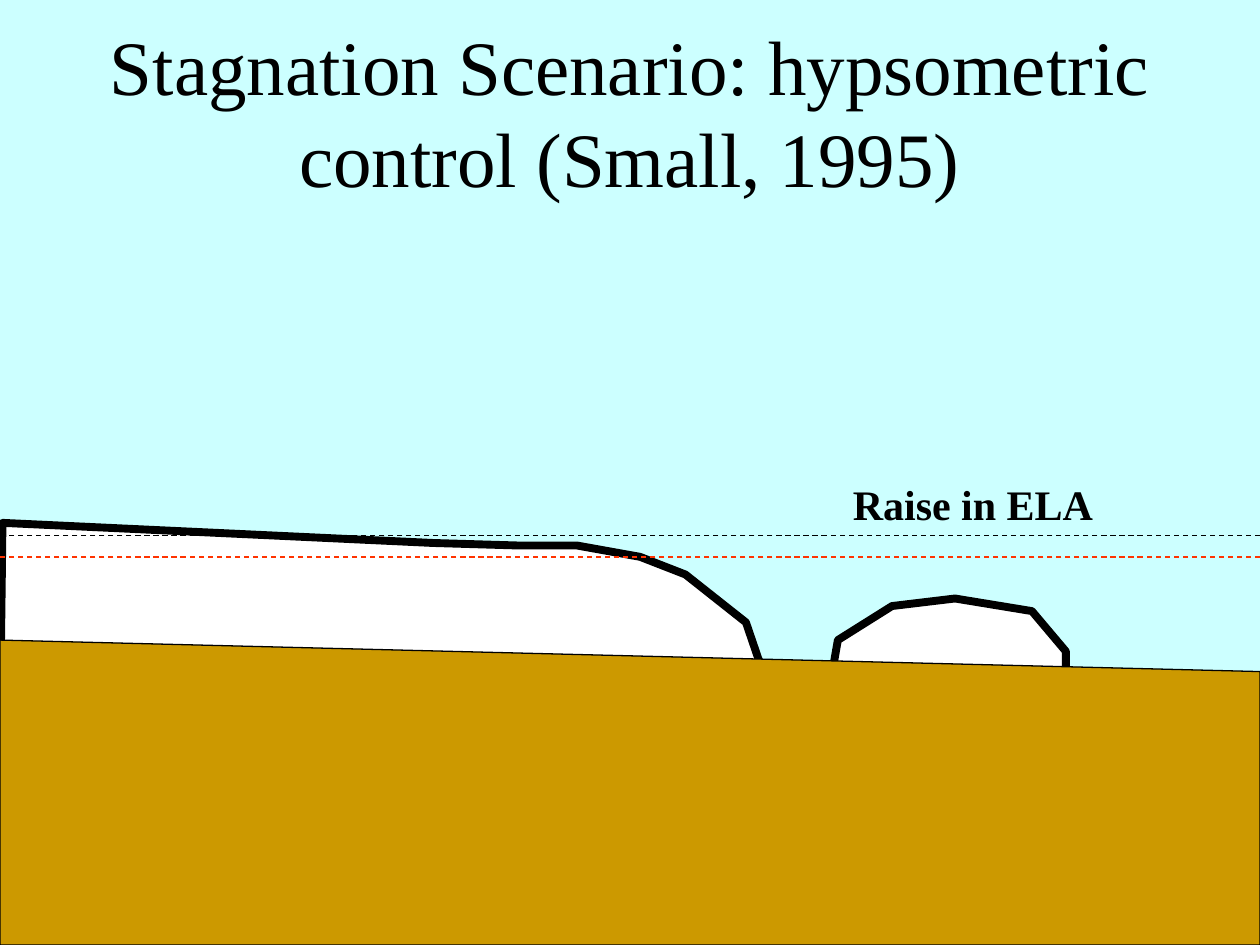
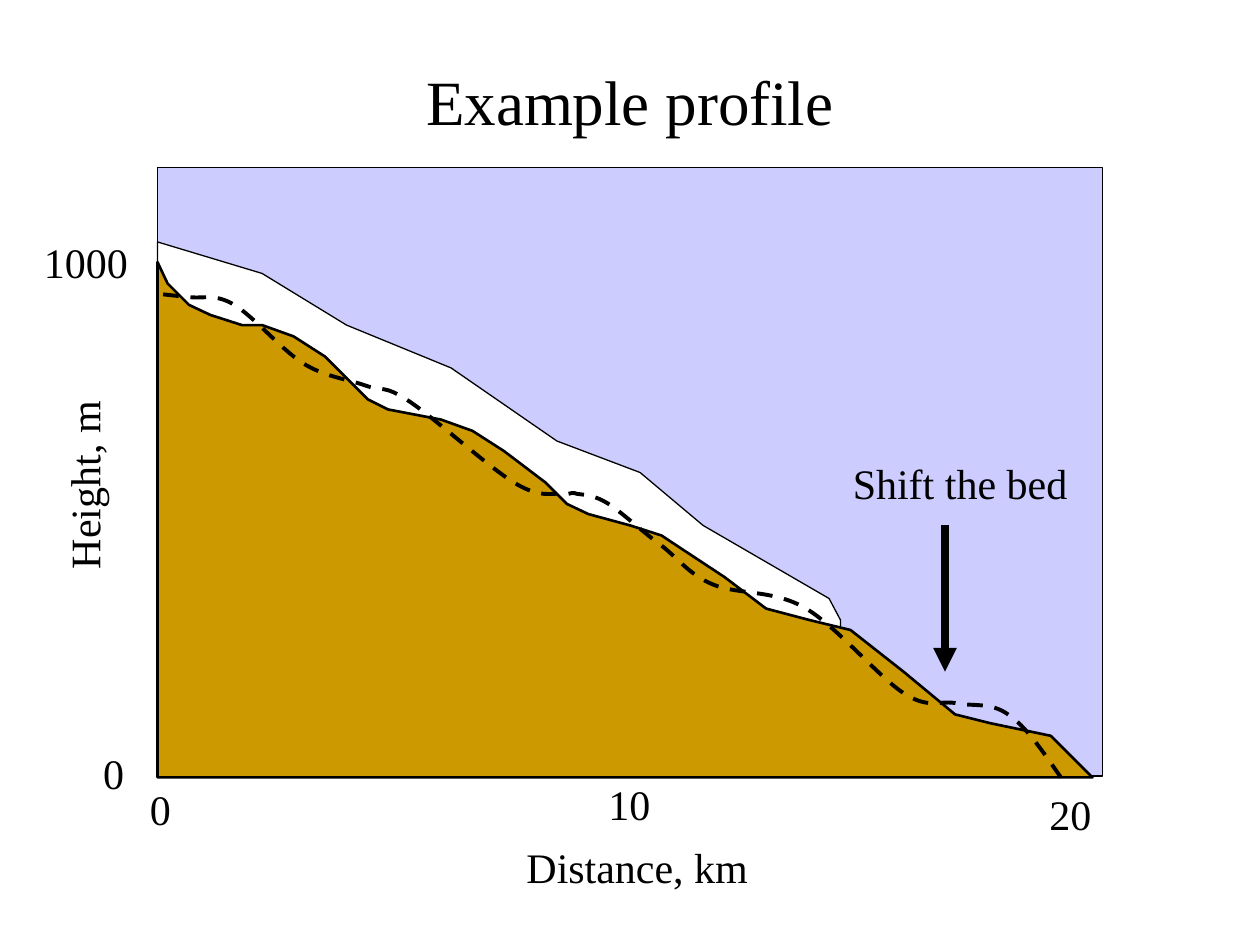
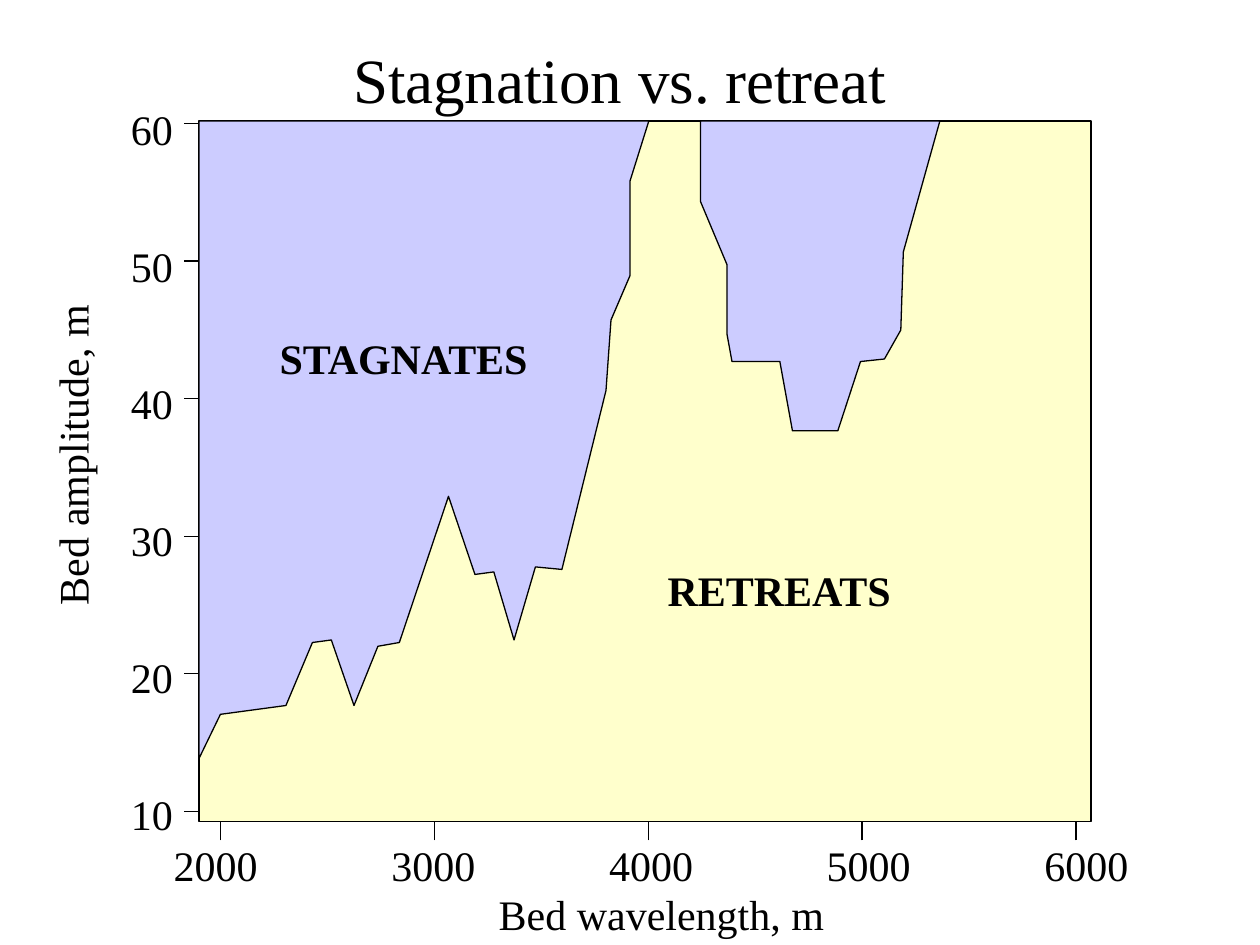
from lxml import etree
from pptx import Presentation
from pptx.dml.color import RGBColor
from pptx.enum.dml import MSO_LINE
from pptx.enum.shapes import MSO_CONNECTOR, MSO_SHAPE
from pptx.enum.text import MSO_ANCHOR, MSO_AUTO_SIZE, PP_ALIGN
from pptx.oxml.ns import qn
from pptx.util import Inches, Pt

BLACK = RGBColor(0x00, 0x00, 0x00)
WHITE = RGBColor(0xFF, 0xFF, 0xFF)
SKY = RGBColor(0xCC, 0xFF, 0xFF)
LILAC = RGBColor(0xCC, 0xCC, 0xFF)
CREAM = RGBColor(0xFF, 0xFF, 0xCC)
BEDROCK = RGBColor(0xCC, 0x99, 0x00)
RED = RGBColor(0xFF, 0x33, 0x00)

FONT = "Times New Roman"
DASH = MSO_LINE.DASH
STRAIGHT = MSO_CONNECTOR.STRAIGHT
RECTANGLE = MSO_SHAPE.RECTANGLE
MIDDLE = MSO_ANCHOR.MIDDLE
CENTER = PP_ALIGN.CENTER
GROW = MSO_AUTO_SIZE.SHAPE_TO_FIT_TEXT
LABEL_HEIGHT = 0.5


def spread(first, last, count):
    """Return count evenly spaced positions from first to last."""
    return [first + (last - first) * i / (count - 1) for i in range(count)]


def number_width(text):
    """Width in inches of a label that holds only digits."""
    return 0.2 + len(text) / 6


class Deck:
    def __init__(self):
        self.prs = Presentation()
        self.prs.slide_width = Inches(10)
        self.prs.slide_height = Inches(7.5)
        self.s = None

    def new_slide(self, background=WHITE):
        self.s = self.prs.slides.add_slide(self.prs.slide_layouts[6])
        fill = self.s.background.fill
        fill.solid()
        fill.fore_color.rgb = background

    def text(self, text, left, top, width, height, size, bold=False):
        box = self.s.shapes.add_textbox(
            Inches(left), Inches(top), Inches(width), Inches(height))
        tf = box.text_frame
        tf.text = text
        font = tf.paragraphs[0].runs[0].font
        font.name = FONT
        font.size = Pt(size)
        font.bold = bold
        font.color.rgb = BLACK
        return box

    def title(self, text, left=0.75, top=0.17, height=1.25, size=36):
        tf = self.text(text, left, top, 8.5, height, size).text_frame
        tf.word_wrap = True
        tf.vertical_anchor = MIDDLE
        tf.paragraphs[0].alignment = CENTER

    def label(self, text, left, top, width, bold=False, rotation=0):
        box = self.text(text, left, top, width, LABEL_HEIGHT, 24, bold)
        box.rotation = rotation
        box.text_frame.word_wrap = False
        box.text_frame.auto_size = GROW

    def number(self, text, left, top):
        self.label(text, left, top, number_width(text))

    def paint(self, shape, fill, width):
        shape.shadow.inherit = False
        if fill is None:
            shape.fill.background()
        else:
            shape.fill.solid()
            shape.fill.fore_color.rgb = fill
        shape.line.color.rgb = BLACK
        shape.line.width = Pt(width)

    def plot_area(self, left, top, width, height, fill):
        shape = self.s.shapes.add_shape(
            RECTANGLE, Inches(left), Inches(top), Inches(width), Inches(height))
        self.paint(shape, fill, 0.75)

    def freeform(self, points, fill, width, close=True):
        start, *rest = [(Inches(x), Inches(y)) for x, y in points]
        builder = self.s.shapes.build_freeform(*start)
        builder.add_line_segments(rest, close=close)
        shape = builder.convert_to_shape()
        self.paint(shape, fill, width)
        return shape

    def dashed_curve(self, points, width):
        """Draw a Bezier curve: a start, then two controls and an end per segment."""
        shape = self.freeform(points, None, width, close=False)
        shape.line.dash_style = DASH
        segments = list(shape.element.iter(qn("a:lnTo")))
        for i in range(0, len(segments), 3):
            curve = etree.Element(qn("a:cubicBezTo"))
            segments[i].addprevious(curve)
            for segment in segments[i:i + 3]:
                curve.append(segment[0])
                segment.getparent().remove(segment)

    def line(self, x1, y1, x2, y2, color=BLACK, width=0.75, dash=None, arrow=False):
        c = self.s.shapes.add_connector(
            STRAIGHT, Inches(x1), Inches(y1), Inches(x2), Inches(y2))
        c.line.color.rgb = color
        c.line.width = Pt(width)
        if dash is not None:
            c.line.dash_style = dash
        properties = c.element.spPr
        if arrow:
            ln = properties.find(qn("a:ln"))
            etree.SubElement(ln, qn("a:tailEnd"), type="triangle")
        etree.SubElement(properties, qn("a:effectLst"))


def stagnation_scenario(deck):
    ice_remnant = [(6.58, 5.48), (6.65, 5.08), (7.08, 4.81), (7.58, 4.75),
                   (8.19, 4.85), (8.46, 5.17), (8.46, 5.54)]
    glacier = [(5.92, 4.94), (5.44, 4.56), (5.08, 4.42), (4.58, 4.33), (4.12, 4.33),
               (3.44, 4.31), (0.02, 4.15), (0, 5.75), (6.19, 5.73)]
    bed = [(0, 5.08), (10, 5.33), (10, 7.5), (0, 7.5)]

    deck.new_slide(SKY)
    deck.freeform(ice_remnant, WHITE, 4.5)
    deck.freeform(glacier, WHITE, 4.5)
    deck.title("Stagnation Scenario: hypsometric control (Small, 1995)",
               height=1.42, size=44)
    deck.freeform(bed, BEDROCK, 0.75)
    deck.line(10, 4.25, 0, 4.25, dash=DASH)
    deck.label("Raise in ELA", 6.67, 3.75, 2.83, bold=True)
    deck.line(10, 4.42, 0, 4.42, color=RED, dash=DASH)


def example_profile(deck):
    glacier = [(6.67, 5.17), (6.67, 4.92), (6.58, 4.75), (5.58, 4.17), (5.08, 3.75),
               (4.42, 3.5), (3.58, 2.92), (2.75, 2.58), (2.08, 2.17), (1.25, 1.92),
               (1.25, 5)]
    bed = [(1.25, 2.08), (1.33, 2.25), (1.5, 2.42), (1.67, 2.5), (1.92, 2.58),
           (2.08, 2.58), (2.33, 2.67), (2.58, 2.83), (2.92, 3.17), (3.08, 3.25),
           (3.5, 3.33), (3.75, 3.42), (4, 3.58), (4.33, 3.83), (4.5, 4), (4.67, 4.08),
           (5, 4.17), (5.25, 4.25), (5.75, 4.58), (6.08, 4.83), (6.42, 4.92),
           (6.75, 5), (7.17, 5.33), (7.58, 5.67), (7.86, 5.74), (8.34, 5.84),
           (8.67, 6.17), (1.25, 6.17)]
    shifted_bed = [
        (8.42, 6.17),
        (8.28, 5.97), (8.14, 5.76), (8, 5.67),
        (7.86, 5.57), (7.72, 5.61), (7.58, 5.58),
        (7.44, 5.56), (7.37, 5.63), (7.17, 5.5),
        (6.97, 5.37), (6.63, 4.96), (6.38, 4.82),
        (6.13, 4.68), (5.85, 4.72), (5.66, 4.64),
        (5.47, 4.56), (5.39, 4.44), (5.25, 4.33),
        (5.11, 4.23), (4.94, 4.07), (4.83, 4),
        (4.72, 3.93), (4.65, 3.93), (4.58, 3.92),
        (4.52, 3.9), (4.54, 3.93), (4.46, 3.92),
        (4.38, 3.91), (4.29, 3.96), (4.08, 3.83),
        (3.88, 3.71), (3.44, 3.31), (3.24, 3.18),
        (3.04, 3.05), (3.04, 3.11), (2.9, 3.06),
        (2.76, 3.01), (2.57, 2.99), (2.4, 2.88),
        (2.23, 2.77), (2.01, 2.51), (1.86, 2.42),
        (1.71, 2.33), (1.62, 2.37), (1.52, 2.36),
        (1.42, 2.35), (1.31, 2.34), (1.25, 2.33)]
    axis_numbers = [("0", 0.72, 5.88), ("1000", 0.25, 1.83), ("0", 1.09, 6.17),
                    ("20", 8.23, 6.21), ("10", 4.73, 6.13)]

    deck.new_slide()
    deck.plot_area(1.25, 1.33, 7.5, 4.83, LILAC)
    deck.title("Example profile")
    deck.freeform(glacier, WHITE, 0.75)
    deck.freeform(bed, BEDROCK, 1.5)
    for text, left, top in axis_numbers:
        deck.number(text, left, top)
    deck.label("Distance, km", 4.08, 6.63, 1.96)
    deck.label("Height, m", -0.1, 3.6, 1.53, rotation=270)
    deck.dashed_curve(shifted_bed, 2.25)
    deck.label("Shift the bed", 6.67, 3.58, 1.9)
    deck.line(7.5, 4.17, 7.5, 5.33, width=4.5, arrow=True)


def stagnation_vs_retreat(deck):
    left, top, width, height = 1.58, 0.96, 7.08, 5.56
    bottom = top + height
    short_wavelengths = [
        (5.15, top), (left, top), (left, 6.02), (1.75, 5.67), (2.27, 5.6), (2.48, 5.1),
        (2.63, 5.08), (2.81, 5.6), (3, 5.13), (3.17, 5.1), (3.56, 3.94), (3.77, 4.56),
        (3.92, 4.54), (4.08, 5.08), (4.25, 4.5), (4.46, 4.52), (4.81, 3.1),
        (4.85, 2.54), (5, 2.19), (5, 1.44)]
    long_wavelengths = [
        (7.46, top), (5.56, top), (5.56, 1.6), (5.77, 2.1), (5.77, 2.65), (5.81, 2.87),
        (6.19, 2.87), (6.29, 3.42), (6.65, 3.42), (6.83, 2.87), (7.02, 2.85),
        (7.15, 2.62), (7.17, 2)]
    amplitudes = range(60, 0, -10)
    wavelengths = range(2000, 7000, 1000)

    deck.new_slide()
    deck.plot_area(left, top, width, height, CREAM)
    deck.title("Stagnation vs. retreat", left=0.67, top=0)
    for region in (short_wavelengths, long_wavelengths):
        deck.freeform(region, LILAC, 0.75)
    for value, y in zip(amplitudes, spread(0.77, 6.21, len(amplitudes))):
        deck.number(str(value), 0.94, y)
    for value, x in zip(wavelengths, spread(1.28, 8.19, len(wavelengths))):
        deck.number(str(value), x, 6.61)
    deck.label("Bed wavelength, m", 3.86, 7, 2.78)
    deck.label("Bed amplitude, m", -0.72, 3.36, 2.58, rotation=270)
    for y in spread(0.98, 6.44, len(amplitudes)):
        deck.line(left, y, left - 0.12, y)
    for x in spread(1.75, 8.54, len(wavelengths)):
        deck.line(x, bottom + 0.15, x, bottom)
    deck.label("STAGNATES", 2.12, 2.59, 2.22, bold=True)
    deck.label("RETREATS", 5.2, 4.43, 1.99, bold=True)


def main():
    deck = Deck()
    stagnation_scenario(deck)
    example_profile(deck)
    stagnation_vs_retreat(deck)
    deck.prs.save("out.pptx")


if __name__ == "__main__":
    main()
